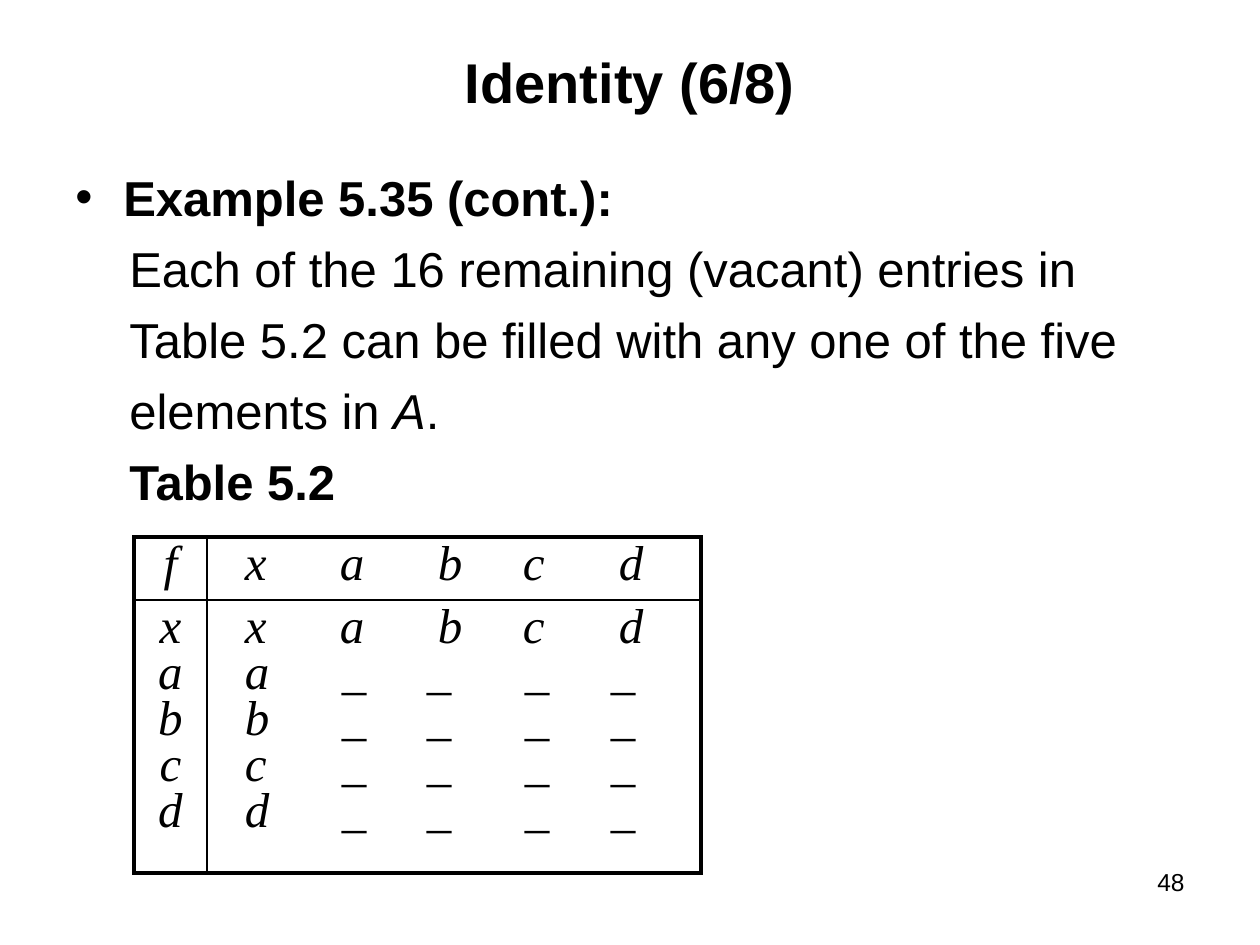
from typing import NamedTuple

from lxml.etree import SubElement
from pptx import Presentation
from pptx.dml.color import RGBColor
from pptx.enum.text import MSO_ANCHOR as Anchor, PP_ALIGN as Align
from pptx.oxml import parse_xml
from pptx.oxml.ns import nsdecls, qn
from pptx.util import Pt

PX = 914400 // 126
INK = "000000"
PAPER = "FFFFFF"
SANS, SERIF = "Arial", "Times New Roman"
THICK, THIN = 2.25, 1


class Run(NamedTuple):
    """A piece of text in one style."""
    text: str
    bold: bool = False
    slant: bool = False


class Line(NamedTuple):
    """A paragraph of the body text."""
    runs: list[Run]
    left: int = 54
    bullet: bool = False


BODY = [
    Line([Run("Example 5.35 (cont.):", bold=True)], 48, True),
    Line([Run("Each of the 16 remaining (vacant) entries in")]),
    Line([Run("Table 5.2 can be filled with any one of the five")]),
    Line([Run("elements in "), Run("A", slant=True), Run(".")]),
    Line([Run("Table 5.2", bold=True)]),
]
NAMES = ["x", "a", "b", "c", "d"]
HEAD_TABS = [95, 193, 278, 374]
GAP_TABS = [97, 182, 280, 366]


def px(n: float) -> int:
    """Turn pixels into EMU."""
    return round(n * PX)


def color(code: str) -> RGBColor:
    """Turn a hex string into a colour."""
    return RGBColor.from_string(code)


def write(para, runs: list[Run], size: float, face: str = SANS) -> None:
    """Add styled runs to a paragraph."""
    for item in runs:
        run = para.add_run()
        run.text = item.text
        font = run.font
        font.name, font.size = face, Pt(size)
        font.bold, font.italic = item.bold, item.slant
        font.color.rgb = color(INK)


def box(slide, left: int, top: int, width: int, height: int):
    """Add a wrapping text box and return its frame."""
    frame = slide.shapes.add_textbox(px(left), px(top), px(width), px(height)).text_frame
    frame.word_wrap = True
    return frame


def label(slide, area: tuple, text: Run, size: float, align, anchor) -> None:
    """Add a one-line text box."""
    frame = box(slide, *area)
    frame.vertical_anchor = anchor
    frame.paragraphs[0].alignment = align
    write(frame.paragraphs[0], [text], size)


def body(slide) -> None:
    """Add the bulleted heading and the lines below it."""
    frame = box(slide, 63, 155, 1134, 689)
    frame.margin_top = px(12)
    for i, line in enumerate(BODY):
        para = frame.add_paragraph() if i else frame.paragraphs[0]
        para.space_before = Pt(7 if i else 0)
        props = para._p.get_or_add_pPr()
        props.set("marL", str(px(line.left)))
        props.set("indent", str(-px(line.left) if line.bullet else 0))
        if line.bullet:
            SubElement(props, qn("a:buFont")).set("typeface", SANS)
            SubElement(props, qn("a:buChar")).set("char", "•")
        write(para, line.runs, 28)


def edge(cell, widths: list[float]) -> None:
    """Draw left, right, top and bottom borders of a cell."""
    props = cell._tc.get_or_add_tcPr()
    for i, (side, width) in enumerate(zip("LRTB", widths)):
        props.insert(i, parse_xml(
            f'<a:ln{side} {nsdecls("a")} w="{Pt(width)}"><a:solidFill>'
            f'<a:srgbClr val="{INK}"/></a:solidFill></a:ln{side}>'))


def fill(cell, rows: list[list[str]], tabs: list[int]) -> None:
    """Write rows of symbols, centred or set out on tab stops."""
    cell.fill.solid()
    cell.fill.fore_color.rgb = color(PAPER)
    if tabs:
        cell.margin_left = px(38)
    frame = cell.text_frame
    for i, row in enumerate(rows):
        para = frame.add_paragraph() if i else frame.paragraphs[0]
        para.line_spacing = 0.85
        para.alignment = Align.LEFT if tabs else Align.CENTER
        if tabs:
            stops = SubElement(para._p.get_or_add_pPr(), qn("a:tabLst"))
            for tab in GAP_TABS if "_" in row else tabs:
                stop = SubElement(stops, qn("a:tab"))
                stop.set("pos", str(px(tab)))
                stop.set("algn", "l")
        write(para, [Run("\t".join(row), slant=True)], 28, SERIF)


def grid(slide) -> None:
    """Add the table of the operation f."""
    wide, high = [73, 494], [63, 273]
    table = slide.shapes.add_table(2, 2, px(134), px(537), px(sum(wide)), px(sum(high))).table
    table.first_row = table.horz_banding = False
    for i in range(2):
        table.columns[i].width = px(wide[i])
        table.rows[i].height = px(high[i])
    gaps = [[name] + ["_"] * 4 for name in NAMES[1:]]
    cells = [[[["f"]], [NAMES]], [[[name] for name in NAMES], [NAMES] + gaps]]
    for r, line in enumerate(cells):
        for c, rows in enumerate(line):
            cell = table.cell(r, c)
            fill(cell, rows, HEAD_TABS if c else [])
            edge(cell, [THIN if c else THICK, THICK if c else THIN,
                        THIN if r else THICK, THICK if r else THIN])


def main() -> None:
    """Build and save the slide."""
    deck = Presentation()
    deck.slide_width, deck.slide_height = px(1260), px(945)
    slide = deck.slides.add_slide(deck.slide_layouts[6])
    label(slide, (63, 38, 1134, 87), Run("Identity (6/8)", bold=True), 32,
          Align.CENTER, Anchor.MIDDLE)
    body(slide)
    label(slide, (903, 861, 294, 66), Run("48"), 14, Align.RIGHT, Anchor.TOP)
    grid(slide)
    deck.save("out.pptx")


main()
